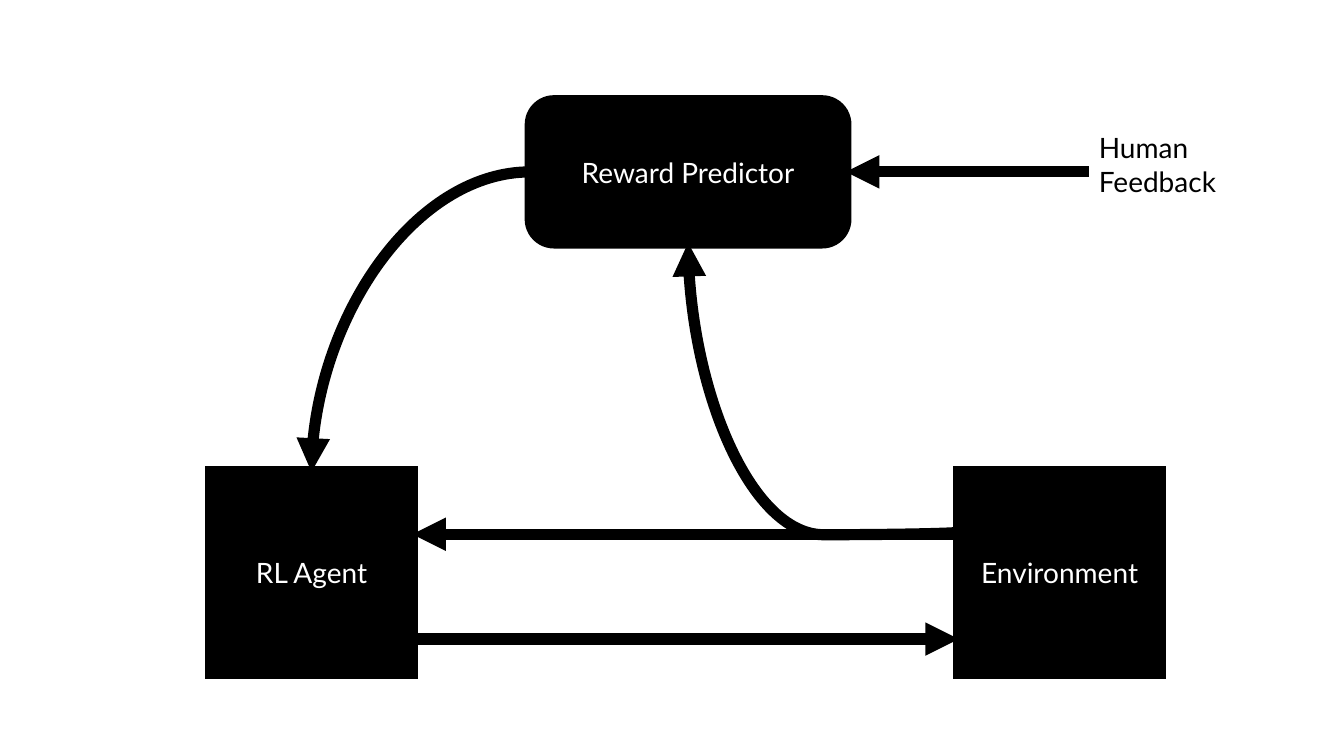
import lxml.etree
import pptx
import pptx.dml.color
import pptx.enum.shapes
import pptx.enum.text
import pptx.oxml.ns
import pptx.util

SHAPES = pptx.enum.shapes.MSO_SHAPE
CONNECTORS = pptx.enum.shapes.MSO_CONNECTOR
ALIGN = pptx.enum.text.PP_ALIGN
ANCHOR = pptx.enum.text.MSO_ANCHOR

BLACK, WHITE = "000000", "FFFFFF"
SQUARE = 2
LOWER_TOP = 4.68
AGENT_LEFT, ENVIRONMENT_LEFT = 2.09, 9.51
AGENT_RIGHT = AGENT_LEFT + SQUARE
AGENT_MIDDLE = AGENT_LEFT + SQUARE / 2
PREDICTOR = (5.26, 1, 3.13, 1.41)
PREDICTOR_RIGHT = PREDICTOR[0] + PREDICTOR[2]
PREDICTOR_BOTTOM = PREDICTOR[1] + PREDICTOR[3]
PREDICTOR_CENTER = PREDICTOR[0] + PREDICTOR[2] / 2
MIDDLE_ROW = PREDICTOR[1] + PREDICTOR[3] / 2
OBSERVATION_ROW, ACTION_ROW = 5.3, 6.34
FEEDBACK_LEFT = 10.8

BOXES = [
    ("Environment", SHAPES.RECTANGLE, (ENVIRONMENT_LEFT, LOWER_TOP, SQUARE, SQUARE)),
    ("RL Agent", SHAPES.RECTANGLE, (AGENT_LEFT, LOWER_TOP, SQUARE, SQUARE)),
    ("Reward Predictor", SHAPES.ROUNDED_RECTANGLE, PREDICTOR),
]
STRAIGHT_ARROWS = [
    ((AGENT_RIGHT, ACTION_ROW), (ENVIRONMENT_LEFT, ACTION_ROW)),
    ((ENVIRONMENT_LEFT, OBSERVATION_ROW), (AGENT_RIGHT, OBSERVATION_ROW)),
    ((FEEDBACK_LEFT, MIDDLE_ROW), (PREDICTOR_RIGHT, MIDDLE_ROW)),
]
OBSERVATION_CURVE = ((ENVIRONMENT_LEFT, 5.28), (PREDICTOR_CENTER, PREDICTOR_BOTTOM))
REWARD_CURVE = ((PREDICTOR[0], MIDDLE_ROW), (AGENT_MIDDLE, LOWER_TOP))
FEEDBACK = ("Human Feedback", (FEEDBACK_LEFT, 1.25, 2.06, 0.77))


def color(value):
    return pptx.dml.color.RGBColor.from_string(value)


def inches(values):
    return [pptx.util.Inches(value) for value in values]


def add_child(parent, tag, **attributes):
    return lxml.etree.SubElement(parent, pptx.oxml.ns.qn(tag), **attributes)


def style_line(line):
    line.color.rgb = color(BLACK)
    line.width = pptx.util.Pt(8)
    element = line._get_or_add_ln()
    add_child(element, "a:miter", lim="800000")
    return element


def write(frame, text, text_color):
    frame.word_wrap = True
    paragraph = frame.paragraphs[0]
    paragraph.text = text
    paragraph.font.name = "Lato"
    paragraph.font.size = pptx.util.Pt(20)
    paragraph.font.color.rgb = color(text_color)
    return paragraph


def add_box(slide, text, kind, area):
    shape = slide.shapes.add_shape(kind, *inches(area))
    shape.shadow.inherit = False
    shape.fill.solid()
    shape.fill.fore_color.rgb = color(BLACK)
    style_line(shape.line)
    shape.text_frame.vertical_anchor = ANCHOR.MIDDLE
    write(shape.text_frame, text, WHITE).alignment = ALIGN.CENTER


def add_arrow(slide, kind, start, end):
    connector = slide.shapes.add_connector(kind, *inches(start + end))
    add_child(style_line(connector.line), "a:tailEnd", type="triangle")
    add_child(connector._element.spPr, "a:effectLst")
    return connector


def turn_upward(connector, bend):
    """Make a curve leave its start vertically, with the given bend share."""
    left, top, width, height = connector.left, connector.top, connector.width, connector.height
    shift = (width - height) // 2
    connector.left, connector.top = left + shift, top - shift
    connector.width, connector.height = height, width
    transform = connector._element.spPr.find(pptx.oxml.ns.qn("a:xfrm"))
    transform.attrib.pop("flipH", None)
    transform.set("rot", str(270 * 60000))
    transform.set("flipV", "1")
    guides = connector._element.spPr.find(".//" + pptx.oxml.ns.qn("a:avLst"))
    add_child(guides, "a:gd", name="adj1", fmla=f"val {round(bend * 100000)}")


def main():
    presentation = pptx.Presentation()
    presentation.slide_width, presentation.slide_height = inches((13.33, 7.5))
    slide = presentation.slides.add_slide(presentation.slide_layouts[6])
    for box in BOXES:
        add_box(slide, *box)
    for ends in STRAIGHT_ARROWS:
        add_arrow(slide, CONNECTORS.STRAIGHT, *ends)
    turn_upward(add_arrow(slide, CONNECTORS.CURVE, *OBSERVATION_CURVE), -0.009)
    reward = add_arrow(slide, CONNECTORS.CURVE, *REWARD_CURVE)
    reward._element.spPr.find(pptx.oxml.ns.qn("a:prstGeom")).set("prst", "curvedConnector2")
    text, area = FEEDBACK
    label = slide.shapes.add_textbox(*inches(area))
    write(label.text_frame, text, BLACK)
    presentation.save("out.pptx")


if __name__ == "__main__":
    main()
